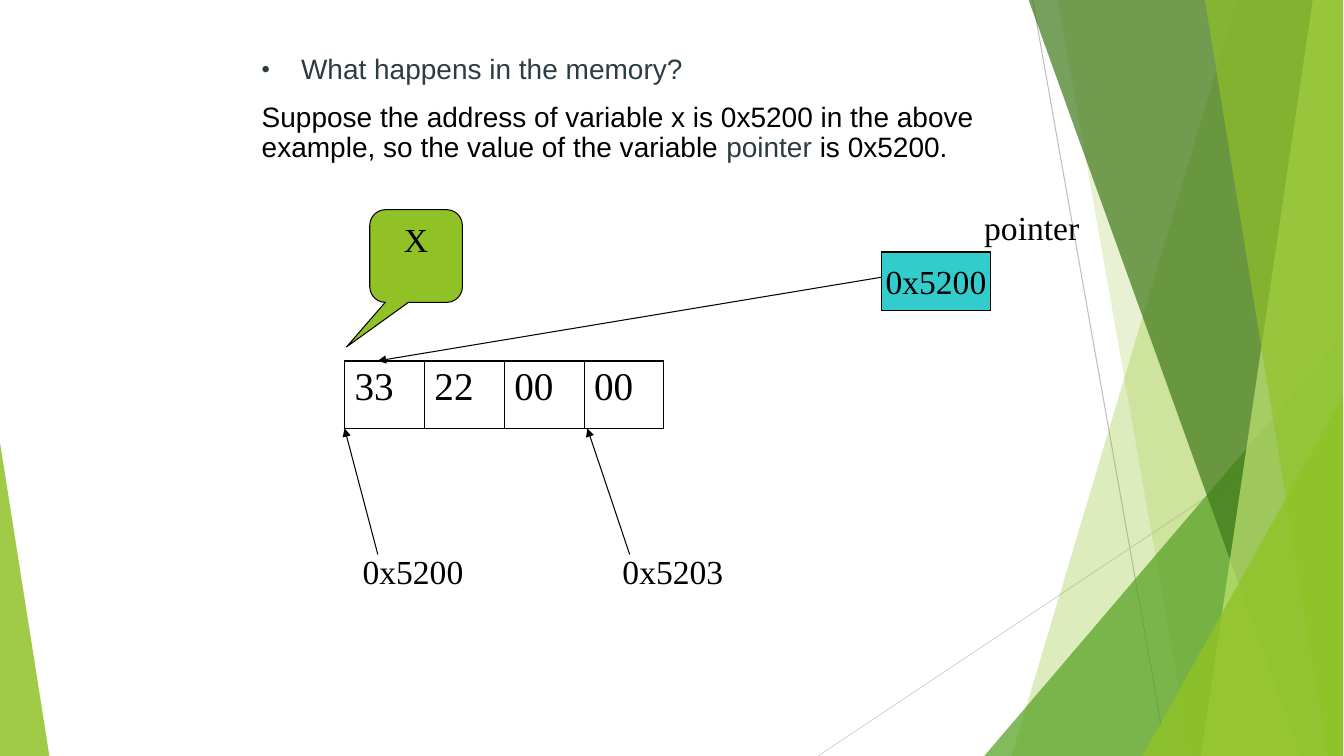
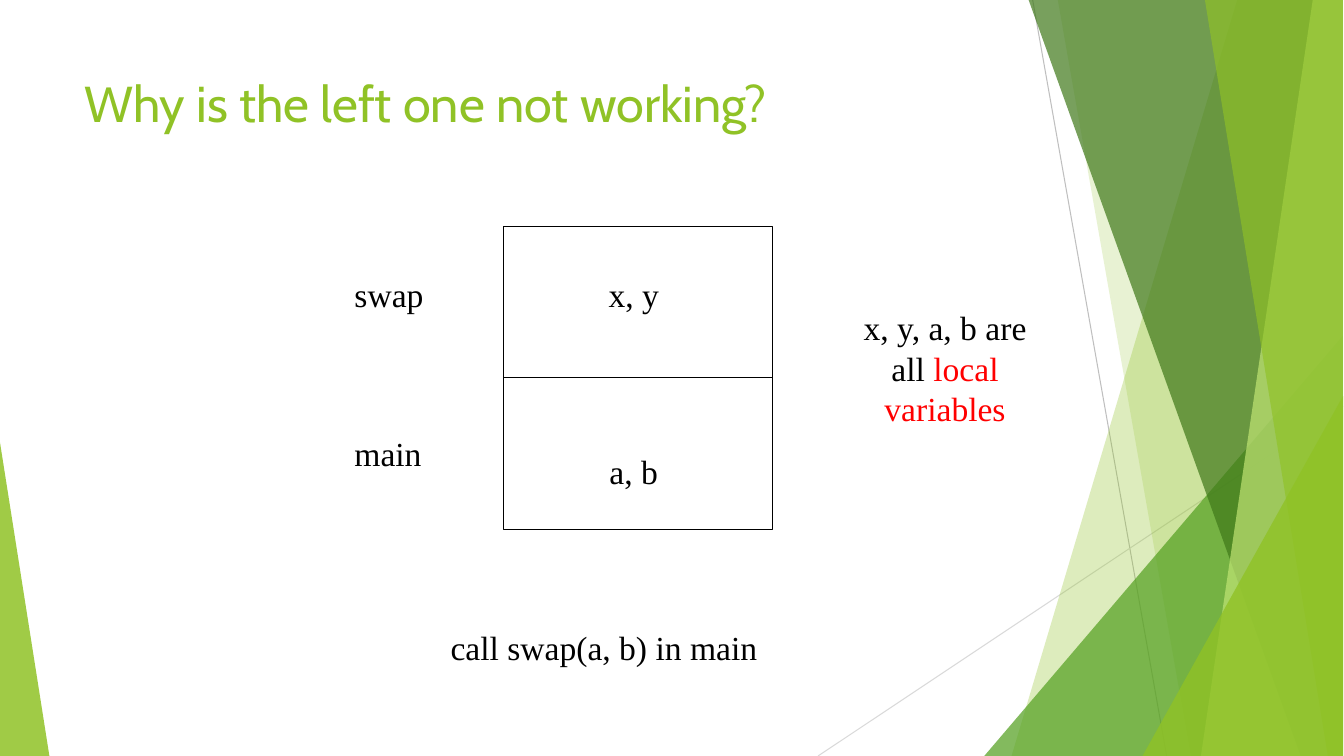
from lxml.etree import SubElement
from pptx import Presentation
from pptx.dml.color import RGBColor
from pptx.enum.shapes import MSO_CONNECTOR, MSO_SHAPE
from pptx.enum.text import MSO_ANCHOR, PP_ALIGN
from pptx.oxml.ns import qn
from pptx.util import Inches, Pt

BLACK = RGBColor(0x00, 0x00, 0x00)
RED = RGBColor(0xFF, 0x00, 0x00)
SLATE = RGBColor(0x2C, 0x3C, 0x43)
TEAL = RGBColor(0x33, 0xCC, 0xCC)
LIME = RGBColor(0x90, 0xC2, 0x26)
GREEN = RGBColor(0x54, 0xA0, 0x21)
DARK = RGBColor(0x3F, 0x78, 0x19)
PALE = RGBColor(0xC0, 0xE4, 0x74)
GRAY = RGBColor(0xBF, 0xBF, 0xBF)
SILVER = RGBColor(0xD9, 0xD9, 0xD9)

RECT = MSO_SHAPE.RECTANGLE
WEDGE = MSO_SHAPE.ISOSCELES_TRIANGLE
CALLOUT = MSO_SHAPE.ROUNDED_RECTANGULAR_CALLOUT
STRAIGHT = MSO_CONNECTOR.STRAIGHT
LEFT, CENTER = PP_ALIGN.LEFT, PP_ALIGN.CENTER
TOP, MIDDLE = MSO_ANCHOR.TOP, MSO_ANCHOR.MIDDLE

SERIF, SANS, HEAD = "Times New Roman", "Arial", "Cabin"
WIDE, HIGH, EDGE = 13.34, 7.5, 13.33


def write(frame, *paras, size=24, font=SERIF, color=BLACK, align=LEFT,
          anchor=TOP, wrap=True, gap=0, lead=None):
    frame.word_wrap = wrap
    frame.vertical_anchor = anchor
    for i, runs in enumerate(paras):
        para = frame.add_paragraph() if i else frame.paragraphs[0]
        para.alignment = align
        para.space_before = Pt(gap)
        if lead:
            para.line_spacing = lead
        for part in [runs] if isinstance(runs, str) else runs:
            text, tint = (part, color) if isinstance(part, str) else part
            run = para.add_run()
            run.text = text
            run.font.size = Pt(size)
            run.font.name = font
            run.font.color.rgb = tint


def bullet(para, color, size, indent):
    props = para._p.get_or_add_pPr()
    props.set("marL", str(Inches(indent)))
    props.set("indent", str(-Inches(indent)))
    tint = SubElement(props, qn("a:buClr"))
    SubElement(tint, qn("a:srgbClr"), val=str(color))
    SubElement(props, qn("a:buSzPct"), val=str(size * 1000))
    SubElement(props, qn("a:buFont"), typeface=SANS)
    SubElement(props, qn("a:buChar"), char="•")


class Deck:
    def __init__(self):
        self.file = Presentation()
        self.file.slide_width = Inches(WIDE)
        self.file.slide_height = Inches(HIGH)
        self.blank = self.file.slide_layouts[6]
        for holder in list(self.blank.placeholders):
            self.blank.shapes.element.remove(holder.element)
        self.page()
        for item in self.decor():
            self.blank.shapes.element.append(item.element)

    def page(self):
        self.shapes = self.file.slides.add_slide(self.blank).shapes

    def decor(self):
        return [
            self.line((10.25, 0), (11.58, HIGH), GRAY),
            self.line((EDGE, 4.03), (8.12, HIGH), SILVER),
            self.band(12.28, 10.04, LIME, 30),
            self.band(10.5, 11.82, LIME, 20),
            self.wedge(9.77, 3.33, EDGE, 1, GREEN, 72),
            self.band(10.21, 12.91, DARK, 70),
            self.band(13.03, 11.92, PALE, 70),
            self.band(11.96, 13.18, LIME, 65),
            self.wedge(11.34, 3.93, EDGE, 1, LIME, 80),
            self.wedge(0, 4.39, 0.49, 0, LIME, 85),
        ]

    def paint(self, shape, fill=None, line=None, alpha=None):
        shape.shadow.inherit = False
        if fill is None:
            shape.fill.background()
        else:
            shape.fill.solid()
            shape.fill.fore_color.rgb = fill
        if alpha:
            tint = shape.element.spPr.find(".//" + qn("a:srgbClr"))
            SubElement(tint, qn("a:alpha"), val=str(alpha * 1000))
        if line is None:
            shape.line.fill.background()
        else:
            shape.line.color.rgb = line
            shape.line.width = Pt(0.75)
        return shape

    def band(self, top, foot, color, alpha):
        spots = [(Inches(x), Inches(y)) for x, y in
                 [(top, 0), (EDGE, 0), (EDGE, HIGH), (foot, HIGH)]]
        path = self.shapes.build_freeform(*spots[0])
        path.add_line_segments(spots[1:], close=True)
        return self.paint(path.convert_to_shape(), color, alpha=alpha)

    def wedge(self, left, top, right, peak, color, alpha):
        box = (left, top, right - left, HIGH - top)
        return self.shape(WEDGE, box, (peak,), fill=color, alpha=alpha)

    def shape(self, kind, box, bends=(), **look):
        item = self.shapes.add_shape(kind, *map(Inches, box))
        for i, bend in enumerate(bends):
            item.adjustments[i] = bend
        return self.paint(item, **look)

    def line(self, start, end, color=BLACK, arrow=False):
        item = self.shapes.add_connector(
            STRAIGHT, *map(Inches, (*start, *end)))
        item.line.color.rgb = color
        item.line.width = Pt(0.75)
        props = item.element.spPr
        if arrow:
            SubElement(props.find(qn("a:ln")), qn("a:tailEnd"),
                       type="triangle")
        SubElement(props, qn("a:effectLst"))
        return item

    def text(self, box, *paras, **look):
        frame = self.shapes.add_textbox(*map(Inches, box)).text_frame
        write(frame, *paras, **look)
        return frame

    def title(self, words):
        self.text((0.74, 0.67, 9.4, 1.44), words,
                  size=36, font=HEAD, color=LIME)

    def cells(self, box, words):
        table = self.shapes.add_table(
            1, len(words), *map(Inches, box)).table
        table.first_row = table.horz_banding = False
        last = len(words) - 1
        for i, word in enumerate(words):
            cell = table.cell(0, i)
            write(cell.text_frame, word, size=28)
            cell.fill.background()
            outer = {"L": i == 0, "R": i == last, "T": True, "B": True}
            props = cell._tc.get_or_add_tcPr()
            for spot, (side, thick) in enumerate(outer.items()):
                width = Pt(1.08 if thick else 0.45)
                edge = SubElement(props, qn("a:ln" + side), w=str(width))
                fill = SubElement(edge, qn("a:solidFill"))
                SubElement(fill, qn("a:srgbClr"), val=str(BLACK))
                props.insert(spot, edge)


def memory(deck):
    deck.cells((3.42, 3.58, 3.17, 0.67), ["33", "22", "00", "00"])
    for left, tip, tail, word in [(3.5, 3.42, 3.75, "0x5200"),
                                  (6.08, 5.83, 6.25, "0x5203")]:
        deck.line((tail, 5.5), (tip, 4.25), arrow=True)
        deck.text((left, 5.42, 1.25, 0.5), word)
    value = deck.shape(RECT, (8.75, 2.5, 1.08, 0.58), fill=TEAL, line=BLACK)
    write(value.text_frame, "0x5200", align=CENTER, anchor=MIDDLE, wrap=False)
    deck.text((9.67, 2, 1.58, 0.5), "pointer")
    body = deck.text(
        (2.5, 0.5, 7.83, 1.18),
        [("What happens in the memory?", SLATE)],
        ["Suppose the address of variable x is 0x5200 in the above example, "
         "so the value of the variable ", ("pointer", SLATE), " is 0x5200."],
        size=20, font=SANS, gap=12.5, lead=0.9)
    bullet(body.paragraphs[0], SLATE, 85, 0.39)
    label = deck.shape(CALLOUT, (3.67, 2.08, 0.92, 0.92),
                       (-0.75, 0.98, 0.17), fill=LIME, line=BLACK)
    write(label.text_frame, "X", align=CENTER)
    deck.line((8.75, 2.75), (3.75, 3.58), arrow=True)


def stack(deck):
    deck.title("Why is the left one not working?")
    for i, (name, name_top, vars, vars_top) in enumerate(
            [("swap", 2.67, "x, y", 2.67), ("main", 4.25, "a, b", 4.42)]):
        deck.shape(RECT, (5, 2.25 + 1.5 * i, 2.67, 1.5), line=BLACK)
        deck.text((3.42, name_top, 1.17, 0.5), name)
        deck.text((5.33, vars_top, 1.92, 0.5), vars, align=CENTER)
    deck.text((3.58, 6.17, 4.83, 0.5), "call swap(a, b) in main",
              align=CENTER)
    deck.text((8.42, 3, 1.92, 1.3),
              ["x, y, a, b are all ", ("local variables", RED)],
              align=CENTER)


def main():
    deck = Deck()
    memory(deck)
    deck.page()
    stack(deck)
    deck.file.save("out.pptx")


if __name__ == "__main__":
    main()
